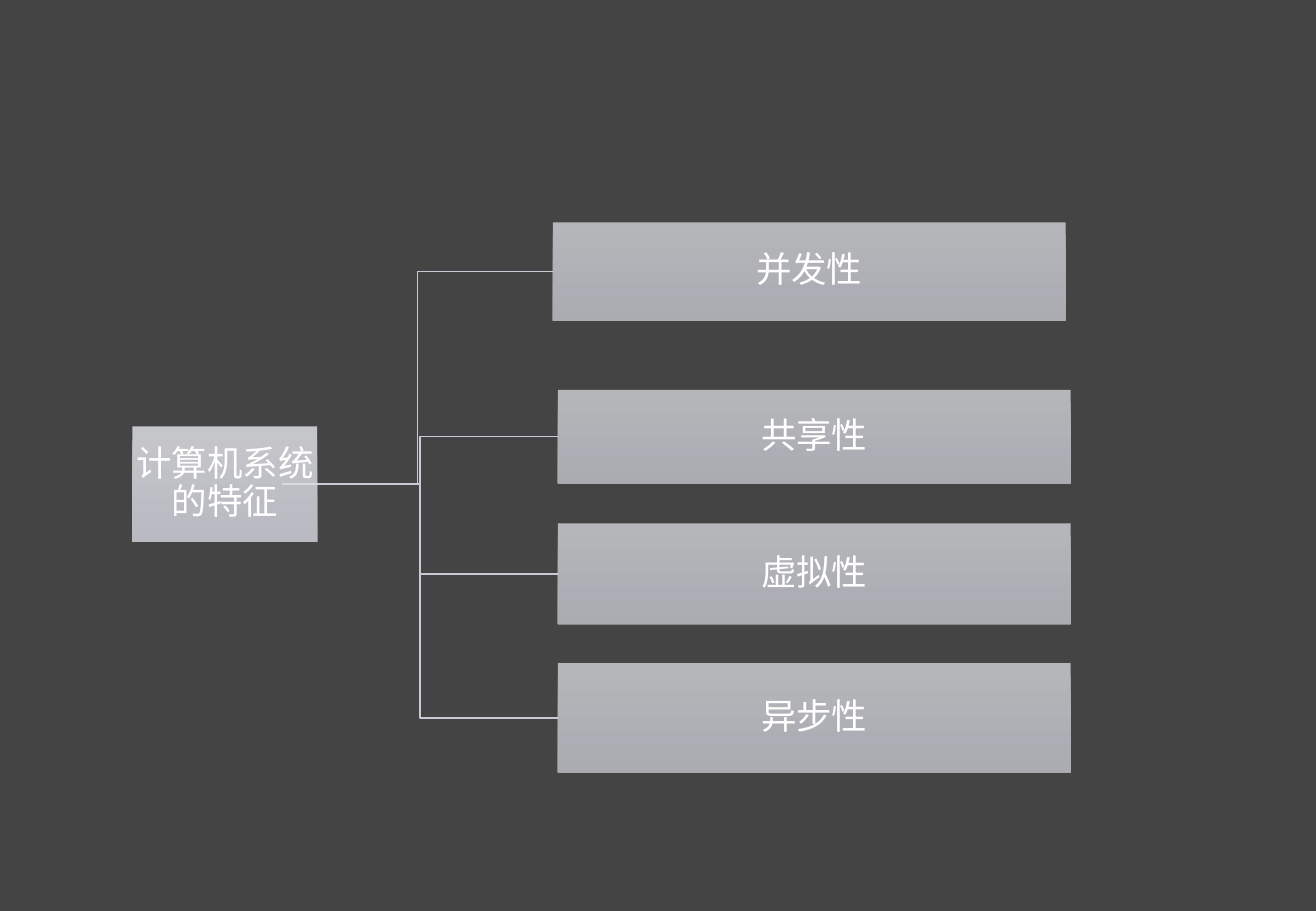
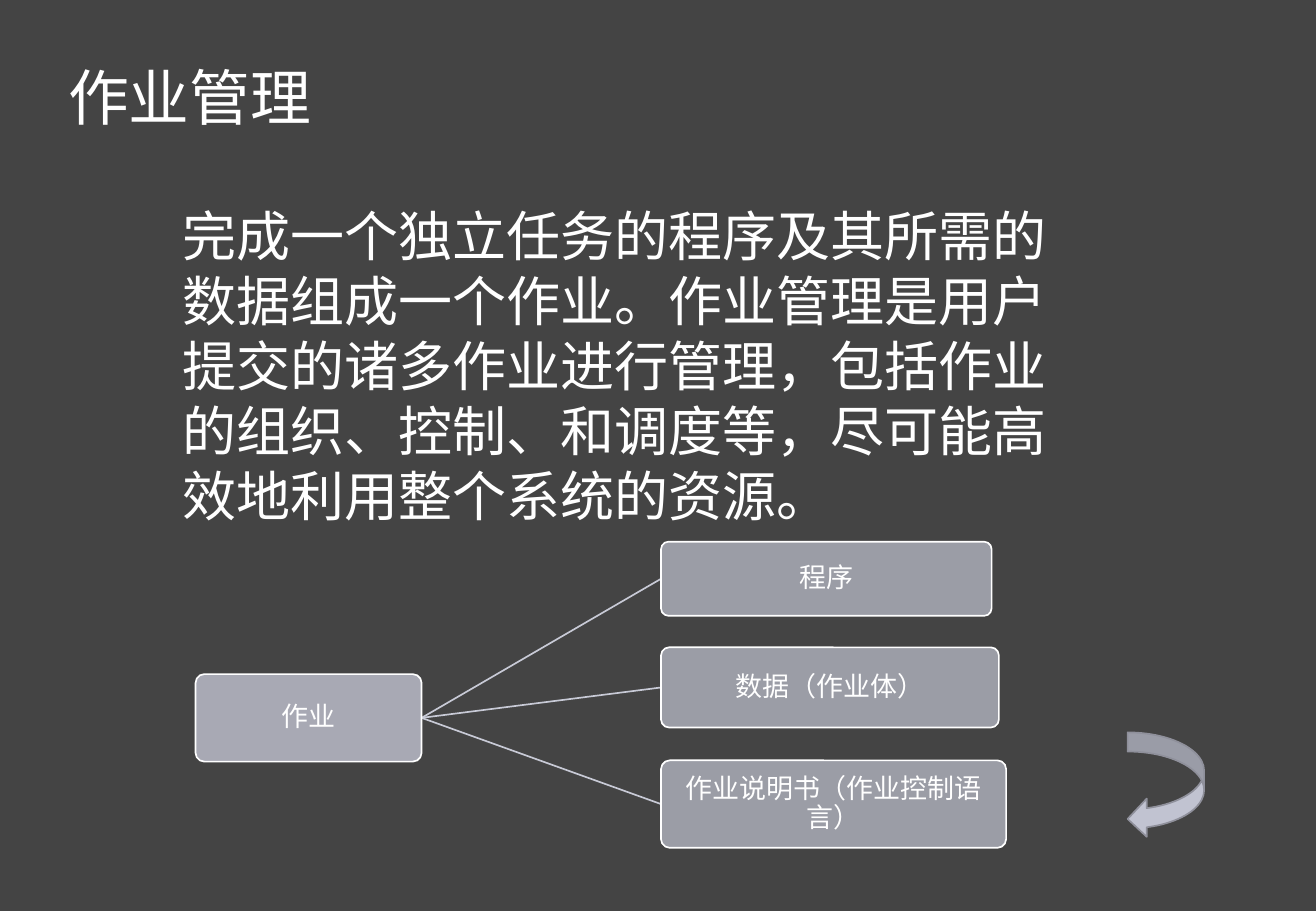
from dataclasses import dataclass

from lxml.etree import SubElement
from pptx import Presentation
from pptx.dml.color import RGBColor as RGB
from pptx.enum.shapes import MSO_CONNECTOR as LINK, MSO_SHAPE as SHAPE
from pptx.enum.text import MSO_ANCHOR as ANCHOR, MSO_AUTO_SIZE as AUTO, PP_ALIGN as ALIGN
from pptx.oxml.ns import qn
from pptx.util import Inches, Pt

FONT = "Calibri"
COLORS = {
    "background": "444444",
    "text": "FFFFFF",
    "link": "C8CAD6",
    "light": "E6E7EC",
    "shade": "D7D8E2",
    "node": "C1C3D1",
    "arrow_edge": "8F909B",
}


@dataclass
class Node:
    text: str
    left: float
    top: float
    width: float
    height: float
    alpha: int = 70

    @property
    def middle(self) -> float:
        return self.top + self.height / 2


def color(name: str) -> RGB:
    return RGB.from_string(COLORS[name])


def write(tf, text: str, *, size: float, align=ALIGN.LEFT, anchor=ANCHOR.TOP,
          spacing: float = 1.0, margin: float | None = None) -> None:
    """Fill a text frame with one formatted paragraph."""
    tf.word_wrap = True
    tf.auto_size = AUTO.NONE
    tf.vertical_anchor = anchor
    if margin is not None:
        tf.margin_left = tf.margin_right = tf.margin_top = tf.margin_bottom = Inches(margin)
    p = tf.paragraphs[0]
    p.alignment, p.line_spacing, p.space_before = align, spacing, Pt(0)
    r = p.add_run()
    r.text = text
    r.font.name, r.font.size, r.font.color.rgb = FONT, Pt(size), color("text")


def place(sp, left: float, top: float, width: float, height: float) -> None:
    sp.left, sp.top = Inches(left), Inches(top)
    sp.width, sp.height = Inches(width), Inches(height)


def add_node(slide, node: Node, *, size: float, rounded: bool) -> None:
    """Draw a translucent box: rounded and outlined, or square with a gradient."""
    kind = SHAPE.ROUNDED_RECTANGLE if rounded else SHAPE.RECTANGLE
    sp = slide.shapes.add_shape(kind, Inches(node.left), Inches(node.top),
                                Inches(node.width), Inches(node.height))
    sp.shadow.inherit = False
    if rounded:
        sp.adjustments[0] = 0.1
        sp.fill.solid()
        sp.fill.fore_color.rgb = color("node")
    else:
        sp.fill.gradient()
        sp.fill.gradient_angle = 270
        for stop, name in zip(sp.fill.gradient_stops, ("light", "shade")):
            stop.color.rgb = color(name)
    for clr in sp._element.spPr.iter(qn("a:srgbClr")):
        SubElement(clr, qn("a:alpha")).set("val", str(node.alpha * 1000))
    if rounded:
        sp.line.color.rgb, sp.line.width = color("text"), Pt(1)
    else:
        sp.line.fill.background()
    write(sp.text_frame, node.text, size=size, align=ALIGN.CENTER,
          anchor=ANCHOR.MIDDLE, spacing=0.9, margin=0.01)


def add_tree(slide, root: Node, leaves: list[Node], *, start: float, link,
             size: float, rounded: bool) -> None:
    """Join the root to each leaf, then draw the boxes above the lines."""
    for leaf in leaves:
        line = slide.shapes.add_connector(link, Inches(start), Inches(root.middle),
                                          Inches(leaf.left), Inches(leaf.middle))
        line.line.color.rgb, line.line.width = color("link"), Pt(1)
        SubElement(line._element.spPr, qn("a:effectLst"))
    for node in (root, *leaves):
        add_node(slide, node, size=size, rounded=rounded)


def features_slide(prs) -> None:
    slide = prs.slides.add_slide(prs.slide_layouts[6])
    root = Node("计算机系统的特征", 1.09, 3.51, 1.52, 0.95, alpha=80)
    leaves = [
        Node("并发性", 4.55, 1.83, 4.22, 0.81),
        Node("共享性", 4.59, 3.21, 4.22, 0.77),
        Node("虚拟性", 4.59, 4.31, 4.22, 0.83),
        Node("异步性", 4.59, 5.46, 4.22, 0.9),
    ]
    add_tree(slide, root, leaves, start=2.32, link=LINK.ELBOW, size=21, rounded=False)


def jobs_slide(prs) -> None:
    slide = prs.slides.add_slide(prs.slide_layouts[1])

    # Title and explanation
    title, body = slide.shapes.title, slide.placeholders[1]
    place(title, 0.46, 0.44, 5.75, 0.71)
    write(title.text_frame, "作业管理", size=36)
    place(body, 1.4, 1.62, 7.64, 3.11)
    write(body.text_frame, "完成一个独立任务的程序及其所需的数据组成一个作业。"
          "作业管理是用户提交的诸多作业进行管理，包括作业的组织、控制、和调度等，"
          "尽可能高效地利用整个系统的资源。", size=32)
    pPr = body.text_frame.paragraphs[0]._p.get_or_add_pPr()
    pPr.set("marL", "0")
    pPr.set("indent", "0")
    SubElement(pPr, qn("a:buNone"))

    # Parts of a job
    root = Node("作业", 1.61, 5.55, 1.86, 0.72, alpha=80)
    leaves = [
        Node("程序", 5.44, 4.46, 2.72, 0.61),
        Node("数据（作业体）", 5.44, 5.33, 2.78, 0.66),
        Node("作业说明书（作业控制语言）", 5.44, 6.26, 2.84, 0.72),
    ]
    add_tree(slide, root, leaves, start=root.left + root.width,
             link=LINK.STRAIGHT, size=16, rounded=True)

    # Return arrow
    sp = slide.shapes.add_shape(SHAPE.CURVED_LEFT_ARROW, Inches(9.28), Inches(6.03),
                                Inches(0.63), Inches(0.87))
    sp.shadow.inherit = False
    sp.fill.solid()
    sp.fill.fore_color.rgb = color("node")
    sp.line.color.rgb, sp.line.width = color("arrow_edge"), Pt(1)


def main() -> None:
    prs = Presentation()
    prs.slide_width, prs.slide_height = Inches(10.83), Inches(7.5)
    fill = prs.slide_master.background.fill
    fill.solid()
    fill.fore_color.rgb = color("background")
    features_slide(prs)
    jobs_slide(prs)
    prs.save("out.pptx")


if __name__ == "__main__":
    main()
